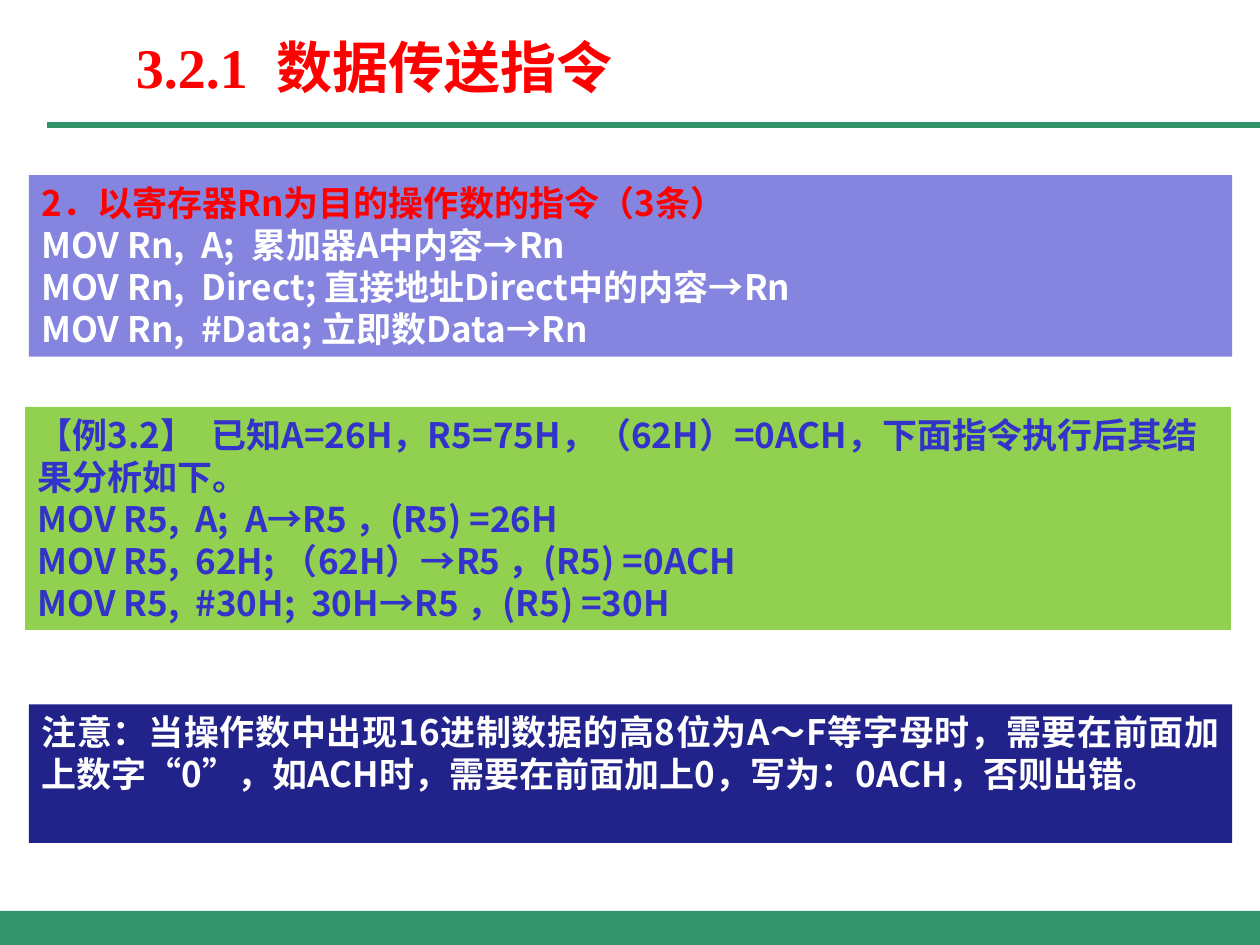
from dataclasses import dataclass

from lxml import etree
from pptx import Presentation
from pptx import util as u
from pptx.dml.color import RGBColor
from pptx.enum import shapes, text
from pptx.oxml.ns import qn


@dataclass(frozen=True)
class Theme:
    green: str = "32946A"
    lavender: str = "8585E0"
    lime: str = "92D050"
    navy: str = "22228B"
    red: str = "FF0000"
    blue: str = "3333CC"
    white: str = "FFFFFF"
    cjk_font: str = "Noto Sans CJK SC"
    title_font: str = "Times New Roman"
    title_size: int = 32
    body_size: int = 20
    line_ratio: float = 1.2


@dataclass(frozen=True)
class Line:
    text: str
    color: str


@dataclass(frozen=True)
class Panel:
    left: float
    top: float
    width: float
    height: float
    fill: str
    lines: tuple[Line, ...]
    align: text.PP_ALIGN = text.PP_ALIGN.LEFT


THEME = Theme()

PANELS = (
    Panel(0.23, 1.39, 9.55, 1.44, THEME.lavender, (
        Line("2．以寄存器Rn为目的操作数的指令（3条）", THEME.red),
        Line("MOV Rn,  A;  累加器A中内容→Rn", THEME.white),
        Line("MOV Rn,  Direct; 直接地址Direct中的内容→Rn", THEME.white),
        Line("MOV Rn,  #Data; 立即数Data→Rn", THEME.white),
    )),
    Panel(0.2, 3.23, 9.57, 1.77, THEME.lime, (
        Line("【例3.2】  已知A=26H，R5=75H，（62H）=0ACH，下面指令执行后其结果分析如下。", THEME.blue),
        Line("MOV R5,  A;  A→R5 ，(R5) =26H", THEME.blue),
        Line("MOV R5,  62H; （62H）→R5 ，(R5) =0ACH", THEME.blue),
        Line("MOV R5,  #30H;  30H→R5 ，(R5) =30H", THEME.blue),
    )),
    Panel(0.23, 5.59, 9.55, 1.1, THEME.navy, (
        Line("注意：当操作数中出现16进制数据的高8位为A～F等字母时，需要在前面加上数字“0”，"
             "如ACH时，需要在前面加上0，写为：0ACH，否则出错。", THEME.white),
    ), text.PP_ALIGN.JUSTIFY),
)


def add_bar(slide, left: float, top: float, width: float, height: float, fill: str):
    sp = slide.shapes.add_shape(
        shapes.MSO_SHAPE.RECTANGLE,
        u.Inches(left), u.Inches(top), u.Inches(width), u.Inches(height))
    sp.shadow.inherit = False
    sp.fill.solid()
    sp.fill.fore_color.rgb = RGBColor.from_string(fill)
    sp.line.fill.background()
    return sp


def add_rule(slide, left: float, right: float, y: float) -> None:
    rule = slide.shapes.add_connector(
        shapes.MSO_CONNECTOR.STRAIGHT,
        u.Inches(left), u.Inches(y), u.Inches(right), u.Inches(y))
    rule.line.color.rgb = RGBColor.from_string(THEME.green)
    rule.line.width = u.Pt(3.5)
    etree.SubElement(rule._element.spPr, qn("a:effectLst"))


def write_lines(tf, lines: tuple[Line, ...], size: int, font: str,
                align: text.PP_ALIGN = text.PP_ALIGN.LEFT) -> None:
    tf.word_wrap = True
    tf.auto_size = text.MSO_AUTO_SIZE.SHAPE_TO_FIT_TEXT
    tf.vertical_anchor = text.MSO_ANCHOR.TOP
    for i, line in enumerate(lines):
        p = tf.add_paragraph() if i else tf.paragraphs[0]
        p.alignment = align
        p.line_spacing = u.Pt(size * THEME.line_ratio)
        r = p.add_run()
        r.text = line.text
        r.font.size = u.Pt(size)
        r.font.bold = True
        r.font.name = font
        r.font.color.rgb = RGBColor.from_string(line.color)
        east_asian = etree.SubElement(r._r.get_or_add_rPr(), qn("a:ea"))
        east_asian.set("typeface", THEME.cjk_font)


def add_panel(slide, panel: Panel) -> None:
    sp = add_bar(slide, panel.left, panel.top, panel.width, panel.height, panel.fill)
    write_lines(sp.text_frame, panel.lines, THEME.body_size, THEME.cjk_font, panel.align)


def add_title(slide, title: str) -> None:
    box = slide.shapes.add_textbox(
        u.Inches(0.98), u.Inches(0.21), u.Inches(8.11), u.Inches(0.64))
    write_lines(box.text_frame, (Line(title, THEME.red),), THEME.title_size, THEME.title_font)


def main() -> None:
    prs = Presentation()
    prs.slide_width, prs.slide_height = u.Inches(10), u.Inches(7.5)
    slide = prs.slides.add_slide(prs.slide_layouts[6])
    add_bar(slide, 0, 7.23, 10, 0.28, THEME.green)
    add_rule(slide, 0.37, 10, 0.99)
    for panel in PANELS:
        add_panel(slide, panel)
    add_title(slide, "3.2.1  数据传送指令")
    prs.save("out.pptx")


if __name__ == "__main__":
    main()
